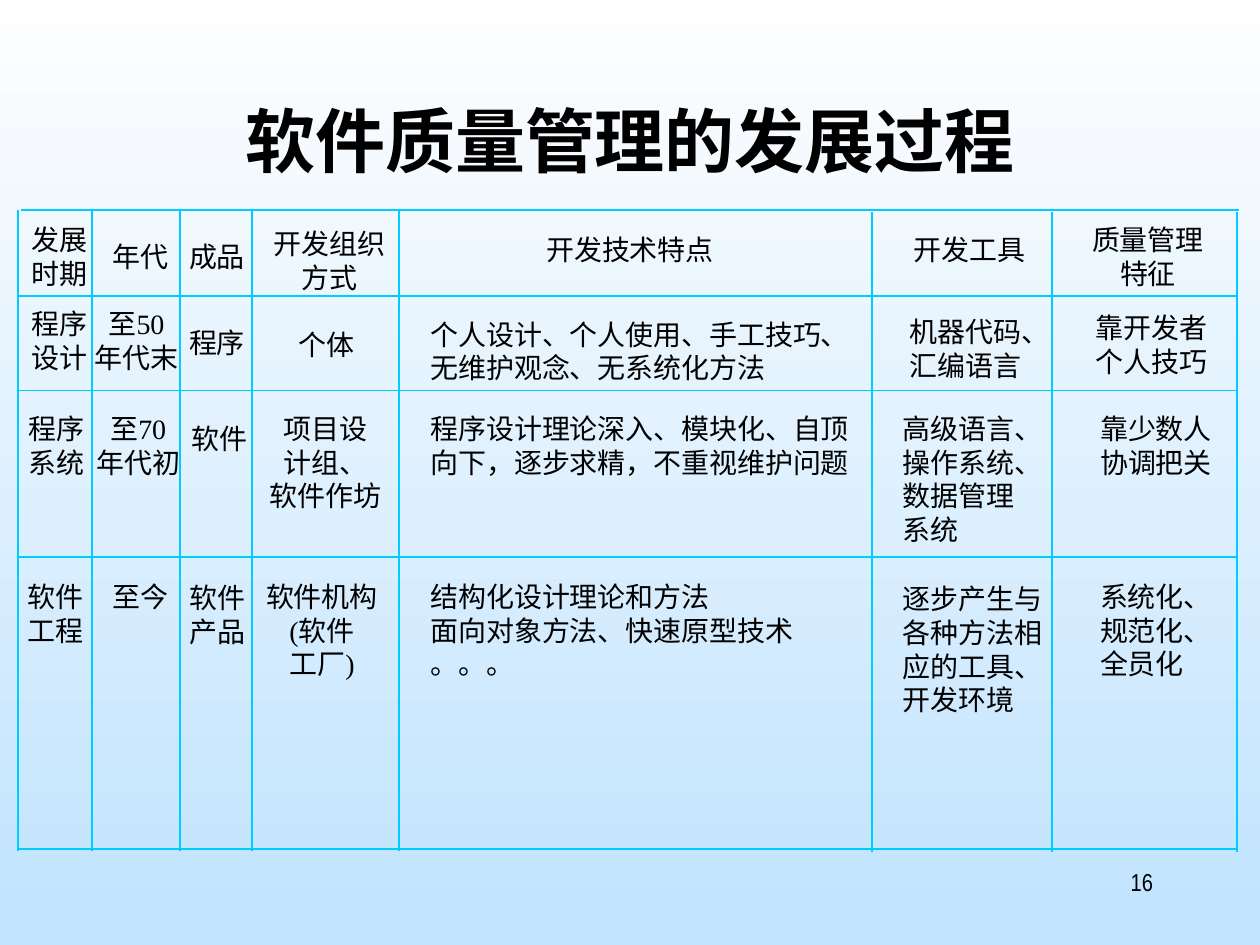
"""Build a slide with a ruled grid on the development of software quality management."""
from dataclasses import dataclass

from lxml import etree
from pptx import Presentation
from pptx.dml.color import RGBColor
from pptx.enum.shapes import MSO_CONNECTOR
from pptx.enum.text import MSO_ANCHOR, PP_ALIGN
from pptx.oxml.ns import qn
from pptx.util import Pt

LEFT, CENTER, RIGHT = PP_ALIGN.LEFT, PP_ALIGN.CENTER, PP_ALIGN.RIGHT
TOP = MSO_ANCHOR.TOP
STRAIGHT = MSO_CONNECTOR.STRAIGHT
COLORS = {"top": "FEFEFE", "bottom": "C0E3FE", "rule": "00CCFF", "text": "000000"}
CJK_FONT = "Noto Sans CJK SC"
SIZE, LEADING = 16, 19.2


@dataclass
class Cell:
    x: float
    y: float
    text: str
    align: PP_ALIGN = CENTER


@dataclass
class Rule:
    x1: float
    y1: float
    x2: float
    y2: float


CELLS = [
    Cell(18, 126, "发展\n时期"),
    Cell(64, 135.4, "年代"),
    Cell(108, 135.4, "成品"),
    Cell(156.2, 128.2, "开发组织\n方式"),
    Cell(312, 131.8, "开发技术特点"),
    Cell(522, 131.8, "开发工具"),
    Cell(624, 126, "质量管理\n特征"),
    Cell(18, 174, "程序\n设计"),
    Cell(54, 174, "至50\n年代末"),
    Cell(108, 185, "程序"),
    Cell(170.6, 185.8, "个体"),
    Cell(246, 180, "个人设计、个人使用、手工技巧、\n无维护观念、无系统化方法", LEFT),
    Cell(520, 178.6, "机器代码、\n汇编语言", LEFT),
    Cell(626, 176.4, "靠开发者\n个人技巧"),
    Cell(16.4, 234, "程序\n系统"),
    Cell(55, 234, "至70\n年代初"),
    Cell(109.4, 239.8, "软件"),
    Cell(154, 234, "项目设\n计组、\n软件作坊"),
    Cell(246, 234, "程序设计理论深入、模块化、自顶\n向下，逐步求精，不重视维护问题", LEFT),
    Cell(516, 234, "高级语言、\n操作系统、\n数据管理\n系统", LEFT),
    Cell(628.6, 234, "靠少数人\n协调把关"),
    Cell(15.8, 330, "软件\n工程"),
    Cell(64, 330, "至今"),
    Cell(108.4, 330.6, "软件\n产品"),
    Cell(152, 330, "软件机构\n(软件\n工厂)"),
    Cell(246, 330, "结构化设计理论和方法\n面向对象方法、快速原型技术\n。。。", LEFT),
    Cell(516, 331.2, "逐步产生与\n各种方法相\n应的工具、\n开发环境", LEFT),
    Cell(628.6, 330, "系统化、\n规范化、\n全员化", LEFT),
]
RULES = [
    Rule(12.2, 120.2, 707.8, 120.2),
    *(Rule(10.8, y, 707, y) for y in (169.2, 223.2, 318.2, 485.3)),
    *(Rule(x, 120.2, x, 486) for x in (10.1, 52.6, 103, 144, 228.2)),
    *(Rule(x, 121, x, 486.7) for x in (498.2, 601.2, 707)),
]


def add_text(slide, text: str, x: float, y: float, w: float, h: float, *,
             size: float = SIZE, font: str = "Times New Roman", bold: bool = False,
             align: PP_ALIGN = CENTER, leading: float | None = LEADING,
             insets: tuple = (0, 1.3), wrap: bool = False) -> None:
    """Add a text box with one paragraph for each line of text."""
    tf = slide.shapes.add_textbox(Pt(x), Pt(y), Pt(w), Pt(h)).text_frame
    tf.word_wrap = wrap
    tf.vertical_anchor = TOP
    tf.margin_left = tf.margin_right = Pt(insets[0])
    tf.margin_top, tf.margin_bottom = Pt(insets[1]), 0
    for i, line in enumerate(text.split("\n")):
        p = tf.add_paragraph() if i else tf.paragraphs[0]
        p.alignment = align
        if leading:
            p.line_spacing = Pt(leading)
        r = p.add_run()
        r.text = line
        r.font.size, r.font.bold, r.font.name = Pt(size), bold, font
        r.font.color.rgb = RGBColor.from_string(COLORS["text"])
        etree.SubElement(r._r.get_or_add_rPr(), qn("a:ea"), typeface=CJK_FONT)


def add_cell(slide, cell: Cell) -> None:
    """Add a cell text sized by its longest line and line count."""
    lines = cell.text.split("\n")
    add_text(slide, cell.text, cell.x, cell.y, SIZE * max(map(len, lines)),
             LEADING * len(lines), align=cell.align)


def add_rule(slide, rule: Rule) -> None:
    """Add one thin grid line."""
    sp = slide.shapes.add_connector(STRAIGHT, Pt(rule.x1), Pt(rule.y1),
                                    Pt(rule.x2), Pt(rule.y2))
    sp.line.color.rgb = RGBColor.from_string(COLORS["rule"])
    sp.line.width = Pt(1)
    etree.SubElement(sp._element.spPr, qn("a:effectLst"))


def set_background(slide) -> None:
    """Fill the background with a gradient from top to bottom."""
    fill = slide.background.fill
    fill.gradient()
    fill.gradient_angle = 270
    for stop, name in zip(fill.gradient_stops, ("top", "bottom")):
        stop.color.rgb = RGBColor.from_string(COLORS[name])


def main() -> None:
    """Build and save the slide."""
    prs = Presentation()
    prs.slide_width, prs.slide_height = Pt(720), Pt(540)
    s = prs.slides.add_slide(prs.slide_layouts[6])
    set_background(s)
    add_text(s, "软件质量管理的发展过程", 54, 48.2, 612, 67.7, size=40,
             font=CJK_FONT, bold=True, leading=52, insets=(7.2, 3.6), wrap=True)
    for rule in RULES:
        add_rule(s, rule)
    for cell in CELLS:
        add_cell(s, cell)
    add_text(s, "16", 516.2, 491.8, 149.8, 36, size=14, font="Arial Narrow",
             align=RIGHT, leading=None, insets=(7.2, 3.6), wrap=True)
    prs.save("out.pptx")


if __name__ == "__main__":
    main()
